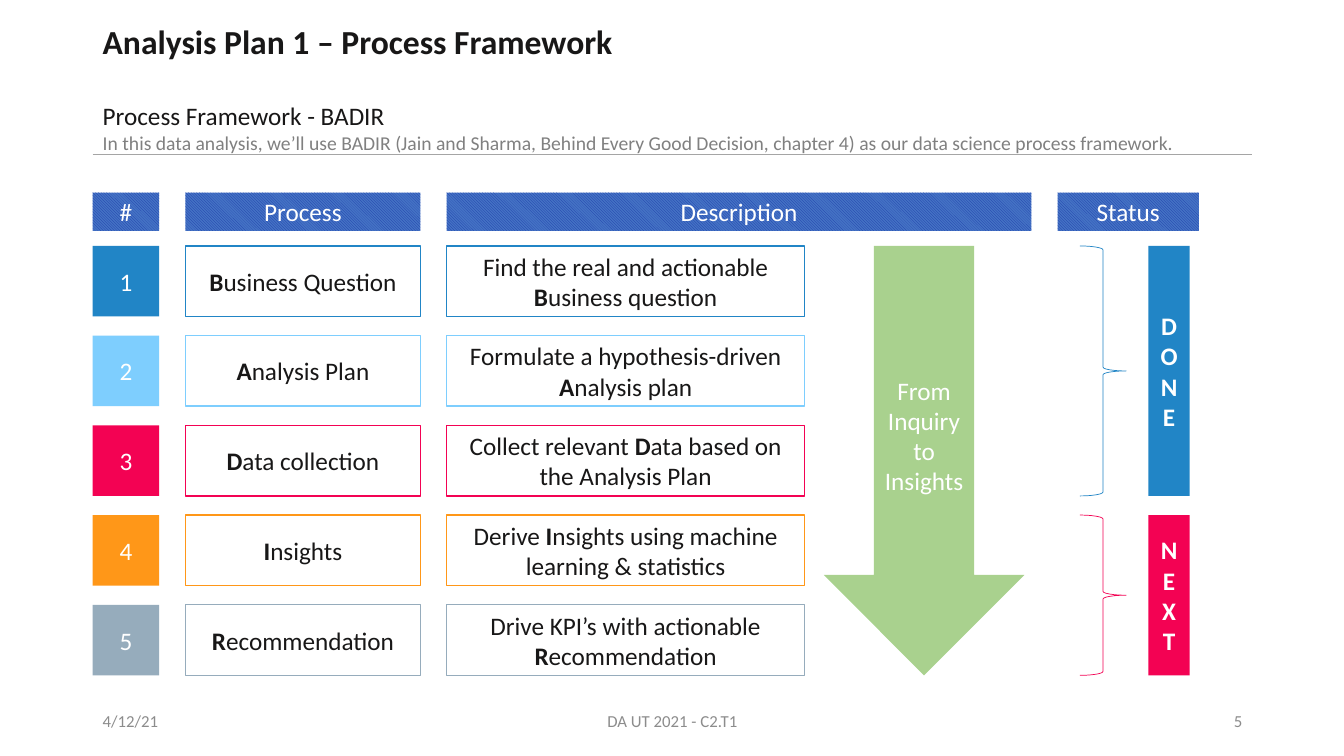
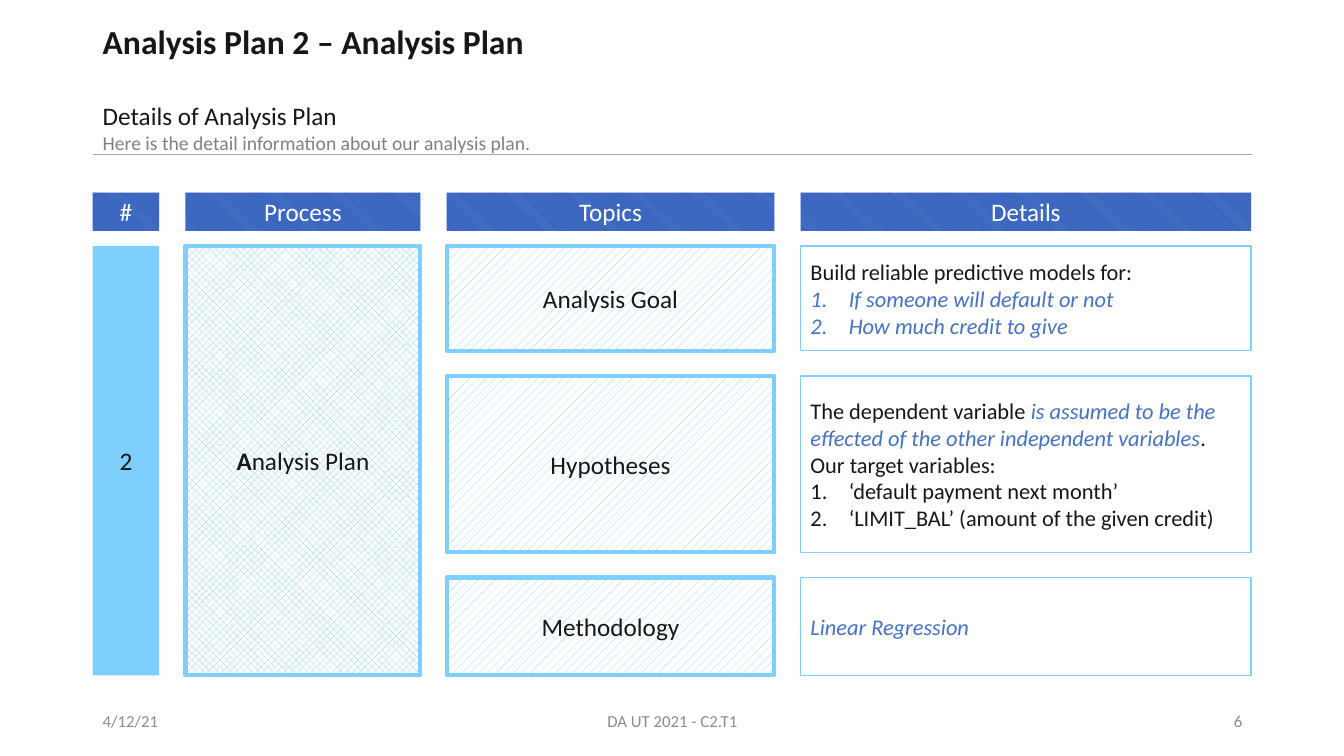
from lxml.etree import SubElement
from pptx import Presentation
from pptx.dml.color import RGBColor
from pptx.enum.dml import MSO_PATTERN as PAT
from pptx.enum.shapes import MSO_CONNECTOR, MSO_SHAPE as KIND
from pptx.enum.text import MSO_ANCHOR, PP_ALIGN
from pptx.oxml.ns import qn
from pptx.util import Inches, Pt

INK, GREY, FAINT, RULE, WHITE = "181717", "808080", "8C8C8C", "A5A5A5", "FFFFFF"
NAVY, ROYAL, GREEN = "1B39A8", "4472C4", "A9D18E"
BLUE, SKY, PINK, AMBER, SLATE = "2185C6", "7ECEFE", "F30253", "FF9718", "96ACBC"
LEFT, WIDE, GAP = 0.92, 11.5, 0.26
HEAD, HIGH = 1.91, 0.38
BODY, TALL = 2.44, 4.26
ROW, STEP = 0.7, 0.89
MID, RIGHT = PP_ALIGN.CENTER, PP_ALIGN.RIGHT


def tint(color):
    return RGBColor.from_string(color)


def inch(box):
    return [Inches(side) for side in box]


def spans(start, sizes, gap):
    out = []
    for size in sizes:
        out.append((start, size))
        start += size + gap
    return out


def cross(col, row):
    return col[0], row[0], col[1], row[1]


def write(frame, paras, size=18, color=INK, bold=False, align=None):
    frame.word_wrap = True
    for num, runs in enumerate(paras):
        para = frame.paragraphs[0] if num == 0 else frame.add_paragraph()
        para.alignment = align or PP_ALIGN.LEFT
        if isinstance(runs, str):
            runs = [(runs, "")]
        for text, mark in runs:
            run = para.add_run()
            run.text = text
            font = run.font
            font.name = "Calibri"
            font.size = Pt(size)
            font.bold = bold or "b" in mark
            font.italic = "i" in mark
            font.color.rgb = tint(ROYAL if "i" in mark else color)
            if "n" in mark:
                number(para)


def number(para):
    props = para._p.get_or_add_pPr()
    props.set("marL", str(Inches(0.38)))
    props.set("indent", str(-Inches(0.38)))
    SubElement(props, qn("a:buFont"), typeface="+mj-lt")
    SubElement(props, qn("a:buAutoNum"), type="arabicPeriod")


def label(slide, box, paras, **style):
    frame = slide.shapes.add_textbox(*inch(box)).text_frame
    write(frame, paras, **style)
    return frame


def block(shapes, box, paras=(), fill=None, weave=None, back=WHITE,
          line=None, width=1, kind=KIND.RECTANGLE, align=MID, **style):
    shape = shapes.add_shape(kind, *inch(box))
    shape.shadow.inherit = False
    if weave:
        shape.fill.patterned()
        shape.fill.pattern = weave
        shape.fill.fore_color.rgb = tint(fill)
        shape.fill.back_color.rgb = tint(back)
    elif fill:
        shape.fill.solid()
        shape.fill.fore_color.rgb = tint(fill)
    else:
        shape.fill.background()
    if line:
        shape.line.color.rgb = tint(line)
        shape.line.width = Pt(width)
    else:
        shape.line.fill.background()
    shape.text_frame.vertical_anchor = MSO_ANCHOR.MIDDLE
    write(shape.text_frame, paras, align=align, **style)
    return shape


def base(deck, page, title, topic, note):
    slide = deck.slides.add_slide(deck.slide_layouts[6])
    rule = slide.shapes.add_connector(
        MSO_CONNECTOR.STRAIGHT, *inch((LEFT, 1.53, LEFT + WIDE, 1.53)))
    rule.line.color.rgb = tint(RULE)
    rule.line.width = Pt(0.5)
    SubElement(rule._element.spPr, qn("a:effectLst"))
    intro = label(slide, (LEFT, 0.95, 11.29, 0.64), [topic])
    para = intro.add_paragraph()
    run = para.add_run()
    run.text = note
    run.font.name = "Calibri"
    run.font.size = Pt(14)
    run.font.color.rgb = tint(GREY)
    foot = zip(spans(LEFT, (3, 4.5, 3), 0.5),
               ("4/12/21", "DA UT 2021 - C2.T1", str(page)),
               (None, MID, RIGHT))
    for col, text, align in foot:
        frame = label(slide, cross(col, (6.95, 0.4)), [text],
                      size=12, color=FAINT, align=align)
        frame.vertical_anchor = MSO_ANCHOR.MIDDLE
    name = label(slide, (LEFT, 0.16, 5.34, 0.5), [title], size=24, bold=True)
    name.word_wrap = False
    return slide


def heads(slide, cols, names):
    for col, name in zip(cols, names):
        block(slide.shapes, cross(col, (HEAD, HIGH)), [name], fill=NAVY,
              weave=PAT.DARK_DOWNWARD_DIAGONAL, back=ROYAL, color=WHITE)


def step(slide, cols, row, num, color, name, about):
    shapes = slide.shapes.add_group_shape().shapes
    block(shapes, cross(cols[0], row), [str(num)], fill=color, color=WHITE)
    first = [(name[0], "b"), (name[1:], "")]
    block(shapes, cross(cols[1], row), [first], line=color)
    lead, key, rest = about
    text = [(lead, ""), (key, "b"), (rest, "")]
    block(shapes, cross((cols[2][0], 3.55), row), [text], line=color)


def status(slide, col, top, count, color, word):
    left, wide = col
    high = (count - 1) * STEP + ROW
    bar = block(slide.shapes, (left + 0.9, top, 0.41, high), [word],
                fill=color, color=WHITE, bold=True)
    bar.text_frame._txBody.bodyPr.set("vert", "wordArtVert")
    block(slide.shapes, (left + 0.22, top, 0.46, high), line=color,
          width=0.5, kind=KIND.RIGHT_BRACE)


def process(deck):
    slide = base(deck, 5, "Analysis Plan 1 – Process Framework",
                 "Process Framework - BADIR",
                 "In this data analysis, we’ll use BADIR (Jain and Sharma, "
                 "Behind Every Good Decision, chapter 4) as our data science "
                 "process framework.")
    cols = spans(LEFT, (0.66, 2.33, 5.8, 1.4), GAP)
    heads(slide, cols, ("#", "Process", "Description", "Status"))
    steps = (
        (BLUE, "Business Question",
         ("Find the real and actionable ", "B", "usiness question")),
        (SKY, "Analysis Plan",
         ("Formulate a hypothesis-driven ", "A", "nalysis plan")),
        (PINK, "Data collection",
         ("Collect relevant ", "D", "ata based on the Analysis Plan")),
        (AMBER, "Insights",
         ("Derive ", "I", "nsights using machine learning & statistics")),
        (SLATE, "Recommendation",
         ("Drive KPI’s with actionable ", "R", "ecommendation")),
    )
    rows = spans(BODY, [ROW] * len(steps), STEP - ROW)
    for num, (row, item) in enumerate(zip(rows, steps), 1):
        step(slide, cols, row, num, *item)
    arrow = block(slide.shapes, (8.17, BODY, 1.99, TALL),
                  ["From", "Inquiry", "to Insights"], fill=GREEN,
                  color=WHITE, kind=KIND.DOWN_ARROW)
    frame = arrow.text_frame
    frame.margin_left = frame.margin_right = 0
    frame.margin_top = frame.margin_bottom = 0
    status(slide, cols[3], rows[0][0], 3, BLUE, "DONE")
    status(slide, cols[3], rows[3][0], 2, PINK, "NEXT")


def plan(deck):
    slide = base(deck, 6, "Analysis Plan 2 – Analysis Plan",
                 "Details of Analysis Plan",
                 "Here is the detail information about our analysis plan.")
    cols = spans(LEFT, (0.66, 2.33, 3.25, 4.47), GAP)
    heads(slide, cols, ("#", "Process", "Topics", "Details"))
    full = (BODY, TALL)
    block(slide.shapes, cross(cols[0], full), ["2"], fill=SKY)
    block(slide.shapes, cross(cols[1], full),
          [[("A", "b"), ("nalysis Plan", "")]], fill=SKY,
          weave=PAT.PERCENT_50, line=SKY, width=3)
    topics = (
        ("Analysis Goal", [
            "Build reliable predictive models for:",
            [("If someone will default or not", "in")],
            [("How much credit to give", "in")]]),
        ("Hypotheses", [
            [("The dependent variable ", ""),
             ("is assumed to be the effected of the other "
              "independent variables", "i"),
             (". Our target variables:", "")],
            [("‘default payment next month’", "n")],
            [("‘LIMIT_BAL’ (amount of the given credit)", "n")]]),
        ("Methodology", [[("Linear Regression", "i")]]),
    )
    rows = spans(BODY, (1.04, 1.75, 0.97), 0.25)
    for row, (name, facts) in zip(rows, topics):
        block(slide.shapes, cross(cols[2], row), [name], fill=SKY,
              weave=PAT.PERCENT_20, line=SKY, width=3)
        block(slide.shapes, cross(cols[3], row), facts, line=SKY,
              align=PP_ALIGN.LEFT, size=16)


def main():
    deck = Presentation()
    deck.slide_width, deck.slide_height = inch((13.33, 7.5))
    process(deck)
    plan(deck)
    deck.save("out.pptx")


if __name__ == "__main__":
    main()
